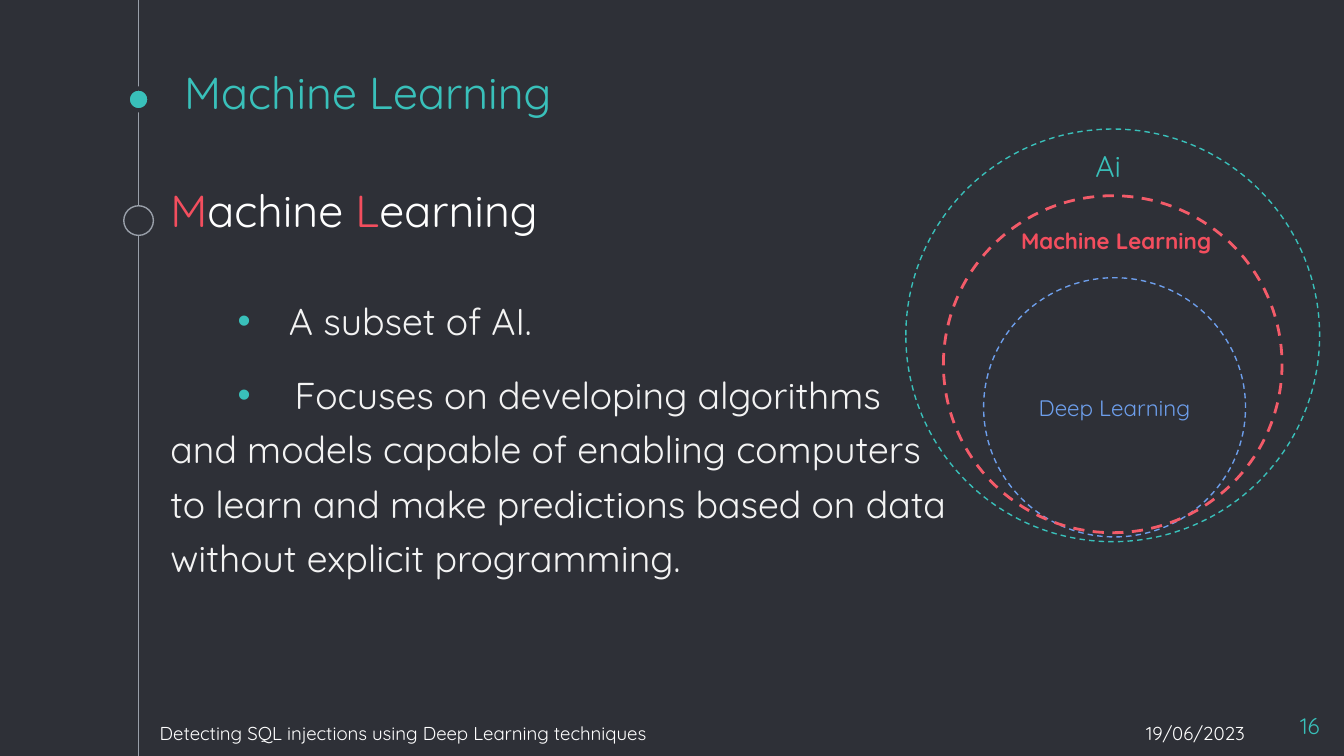
from pptx import Presentation
from pptx.dml.color import RGBColor
from pptx.enum.dml import MSO_LINE
from pptx.enum.shapes import MSO_CONNECTOR, MSO_SHAPE
from pptx.enum.text import MSO_ANCHOR, MSO_AUTO_SIZE, PP_ALIGN
from pptx.oxml.ns import qn
from pptx.util import Cm, Pt
from lxml.etree import SubElement

DARK = RGBColor(0x2E, 0x30, 0x37)
GREY = RGBColor(0x99, 0x9F, 0xA9)
TEAL = RGBColor(0x39, 0xC0, 0xBA)
RED = RGBColor(0xF3, 0x4E, 0x5E)
CORAL = RGBColor(0xF3, 0x5B, 0x69)
BLUE = RGBColor(0x6D, 0x9E, 0xEB)
WHITE = RGBColor(0xFF, 0xFF, 0xFF)
PALE = RGBColor(0xF3, 0xF3, 0xF3)
FONT = "Quicksand"
INSET = 0.25


class SlideBuilder:
    def __init__(self, prs):
        self.s = prs.slides.add_slide(prs.slide_layouts[1])
        self.s.background.fill.solid()
        self.s.background.fill.fore_color.rgb = DARK

    def frame(self, sp, anchor=MSO_ANCHOR.TOP, inset_y=INSET, wrap=True):
        tf = sp.text_frame
        values = {"margin_left": Cm(INSET), "margin_right": Cm(INSET),
                  "margin_top": Cm(inset_y), "margin_bottom": Cm(inset_y),
                  "vertical_anchor": anchor, "word_wrap": wrap,
                  "auto_size": MSO_AUTO_SIZE.NONE}
        for name, value in values.items():
            setattr(tf, name, value)
        return tf

    def run(self, p, text, size, color, bold=False):
        r = p.add_run()
        r.text = text
        for name, value in {"name": FONT, "size": Pt(size), "bold": bold}.items():
            setattr(r.font, name, value)
        r.font.color.rgb = color

    def place(self, sp, box):
        for name, value in zip(("left", "top", "width", "height"), box):
            setattr(sp, name, Cm(value))

    def title(self, box, text, size, color):
        sp = self.s.shapes.title
        self.place(sp, box)
        p = self.frame(sp, MSO_ANCHOR.BOTTOM).paragraphs[0]
        p.alignment = PP_ALIGN.LEFT
        self.run(p, text, size, color)

    def body(self, box, paragraphs):
        sp = self.s.placeholders[1]
        self.place(sp, box)
        tf = self.frame(sp)
        for i, (runs, size, before, margin, hang) in enumerate(paragraphs):
            p = tf.add_paragraph() if i else tf.paragraphs[0]
            for name, value in {"level": 1 if hang else 0, "line_spacing": 1.0,
                                "space_before": Pt(before), "space_after": Pt(0),
                                "alignment": PP_ALIGN.LEFT}.items():
                setattr(p, name, value)
            self.bullet(p, margin, hang)
            for text, color in runs:
                self.run(p, text, size, color)

    def bullet(self, p, margin, hang):
        pPr = p._p.get_or_add_pPr()
        pPr.set("marL", str(Cm(margin)))
        pPr.set("indent", str(-Cm(hang)))
        if hang:
            clr = SubElement(pPr, qn("a:buClr"))
            SubElement(clr, qn("a:srgbClr"), val=str(TEAL))
            SubElement(pPr, qn("a:buFont"), typeface="Arial")
            SubElement(pPr, qn("a:buChar"), char="•")
        else:
            SubElement(pPr, qn("a:buNone"))

    def label(self, box, text, size, color, bold=False, align=PP_ALIGN.LEFT, inset_y=0.13):
        sp = self.s.shapes.add_textbox(*map(Cm, box))
        p = self.frame(sp, inset_y=inset_y, wrap=False).paragraphs[0]
        p.alignment = align
        self.run(p, text, size, color, bold)

    def circle(self, box, line, width, fill=None, dash=None):
        sp = self.s.shapes.add_shape(MSO_SHAPE.OVAL, *map(Cm, box))
        sp.shadow.inherit = False
        if fill is None:
            sp.fill.background()
        else:
            sp.fill.solid()
            sp.fill.fore_color.rgb = fill
        sp.line.color.rgb = line
        sp.line.width = Pt(width)
        if dash:
            sp.line.dash_style = dash
        return sp

    def marker(self, x, y, size, line, width, fill):
        self.circle((x - size / 2, y - size / 2, size, size), line, width, fill)

    def circle_text(self, sp, text, size, color):
        p = self.frame(sp, MSO_ANCHOR.MIDDLE).paragraphs[0]
        p.alignment = PP_ALIGN.CENTER
        self.run(p, text, size, color)

    def line(self, x1, y1, x2, y2, color, width):
        c = self.s.shapes.add_connector(MSO_CONNECTOR.STRAIGHT, *map(Cm, (x1, y1, x2, y2)))
        c.line.color.rgb = color
        c.line.width = Pt(width)
        SubElement(c._element.spPr, qn("a:effectLst"))


def main():
    prs = Presentation()
    prs.slide_width, prs.slide_height = Cm(25.4), Cm(14.29)
    b = SlideBuilder(prs)

    # Timeline on the left
    axis = 2.62
    b.line(axis, 0, axis, 14.29, GREY, 0.75)
    b.marker(axis, 1.88, 0.41, DARK, 2.25, TEAL)
    b.marker(axis, 4.17, 0.56, GREY, 0.75, DARK)

    # Title and body: runs, size, space before, margin, hanging indent
    b.title((3.23, 1.22, 12.14, 1.27), "Machine Learning", 24, TEAL)
    heading = [("M", RED), ("achine", WHITE), (" L", RED), ("earning", WHITE)]
    continued = ["and models capable of enabling computers",
                 "to learn and make predictions based on data",
                 "without explicit programming."]
    b.body((2.77, 3.2, 21.95, 9.7), [
        (heading, 24, 0, 0.2, 0),
        ([("A subset of AI.", PALE)], 20, 33, 2.44, 0.97),
        ([("Focuses on developing algorithms", PALE)], 20, 16, 2.55, 1.08),
        *[([(text, PALE)], 20, 5, 0.2, 0) for text in continued],
    ])

    # Nested circles
    dash = MSO_LINE.DASH
    b.circle((17.12, 2.44, 7.82, 7.8), TEAL, 0.75, dash=dash)
    deep = b.circle((18.59, 5.25, 4.95, 4.9), BLUE, 0.75, dash=dash)
    b.circle_text(deep, "Deep Learning", 12, BLUE)
    b.circle((17.83, 3.7, 6.4, 6.37), CORAL, 1.5, dash=dash)
    b.label((19.05, 4.17, 4.24, 0.76), "Machine Learning", 12, RED, bold=True)
    b.label((20.45, 2.67, 1.04, 0.94), "Ai", 16, TEAL)

    # Footer
    b.label((2.77, 13.51, 9.88, 0.69),
            "Detecting SQL injections using Deep Learning techniques", 10, WHITE)
    b.label((21.41, 13.51, 2.41, 0.69), "19/06/2023", 10, WHITE)
    b.label((23.67, 13.21, 1.52, 0.86), "16", 12, TEAL,
            align=PP_ALIGN.RIGHT, inset_y=INSET)

    prs.save("out.pptx")


if __name__ == "__main__":
    main()
